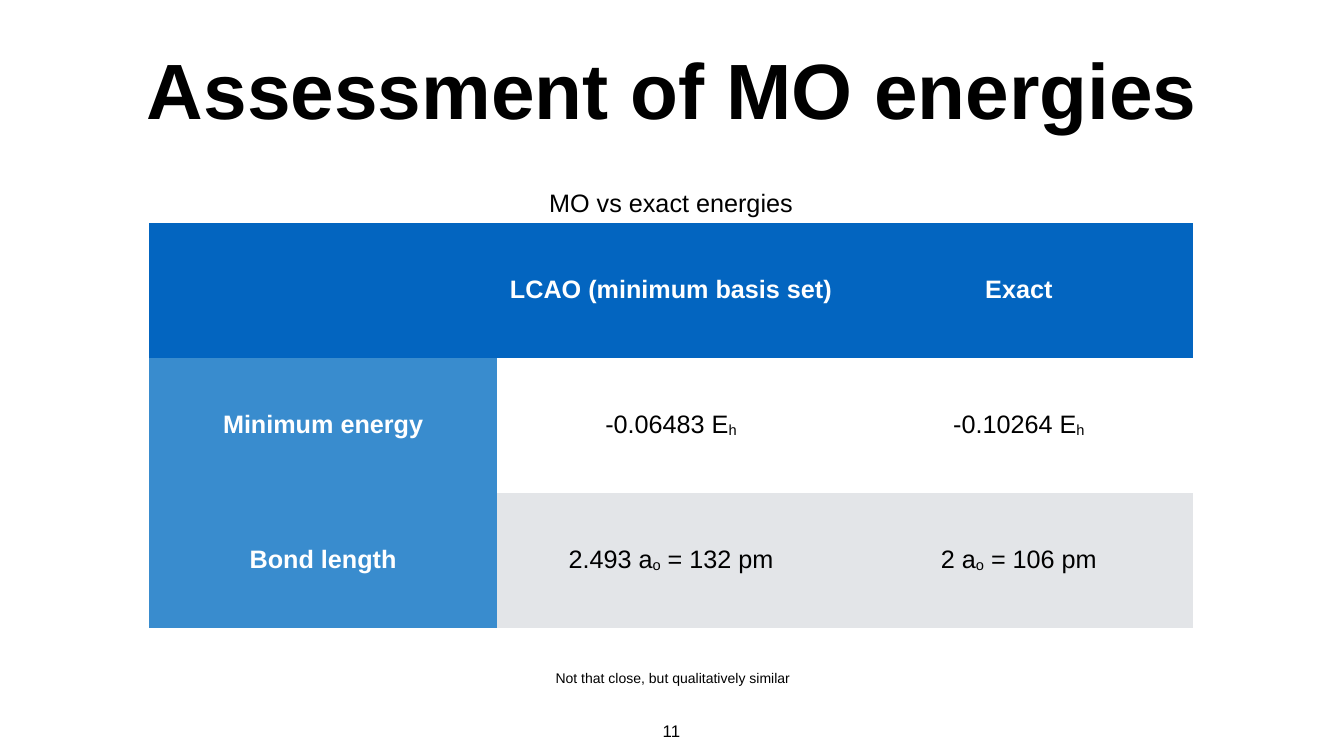
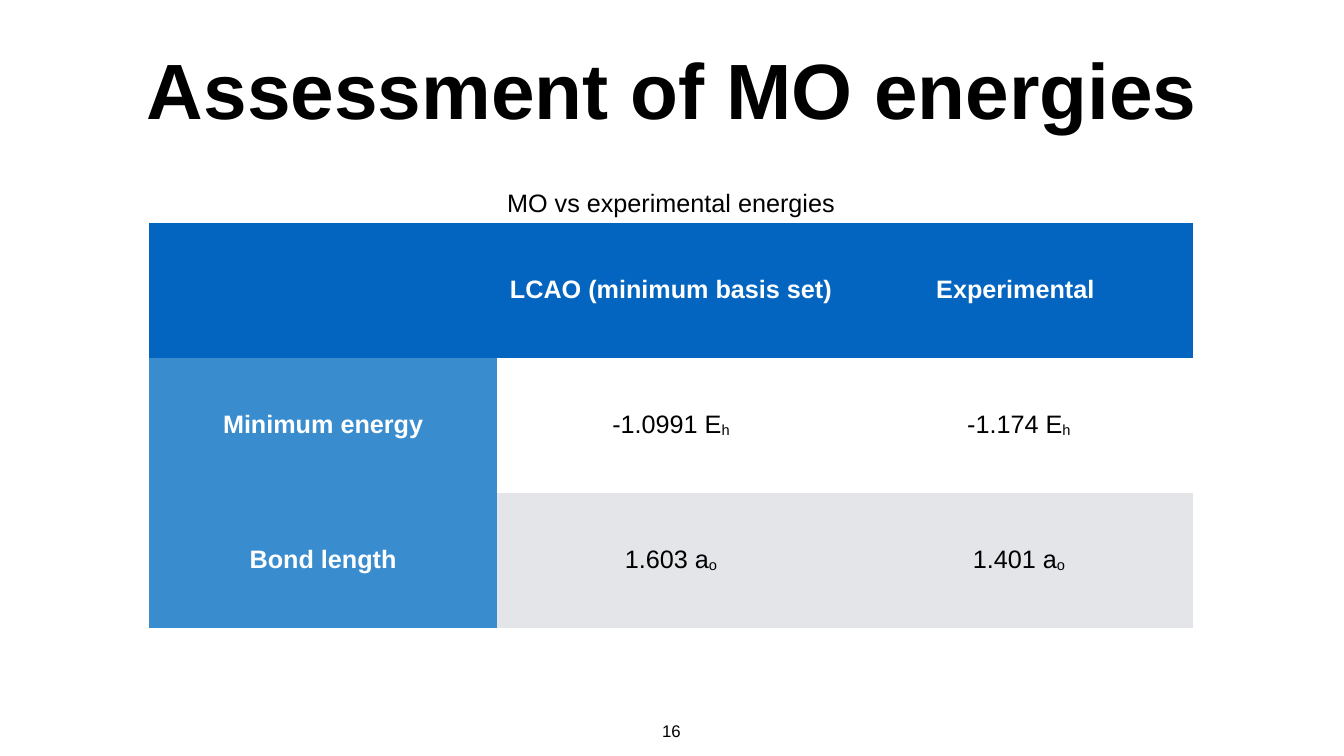
import pptx
import pptx.dml.color
import pptx.enum.text
import pptx.util

Cm = pptx.util.Cm
ALIGN = pptx.enum.text.PP_ALIGN
ANCHOR = pptx.enum.text.MSO_ANCHOR
COLORS = {
    "text": "000000",
    "light": "FFFFFF",
    "header": "0365C0",
    "label": "398CCE",
    "plain": "FFFFFF",
    "band": "E3E5E8",
}
FONT = "Arial"
NO_STYLE = "{2D5ABB26-0587-4C30-8999-92F81FD0307C}"
TABLE_LEFT, TABLE_TOP = 7.52, 9.3
COLUMN_WIDTH, CAPTION_HEIGHT, ROW_HEIGHT = 17.53, 1.85, 6.8

SLIDES = [
    {
        "number": "11",
        "caption": "MO vs exact energies",
        "rows": [
            ["", "LCAO (minimum basis set)", "Exact"],
            ["Minimum energy", "-0.06483 E~h~", "-0.10264 E~h~"],
            ["Bond length", "2.493 a~o~ = 132 pm", "2 a~o~ = 106 pm"],
        ],
        "note": "Not that close, but qualitatively similar",
    },
    {
        "number": "16",
        "caption": "MO vs experimental energies",
        "rows": [
            ["", "LCAO (minimum basis set)", "Experimental "],
            ["Minimum energy", "-1.0991 E~h~", "-1.174 E~h~"],
            ["Bond length", "1.603 a~o~", "1.401 a~o~"],
        ],
        "note": None,
    },
]


def write(frame, text, size=36, color="text", bold=False):
    """Fill a frame with one centred paragraph; ~x~ sets x as a subscript."""
    para = frame.paragraphs[0]
    para.alignment = ALIGN.CENTER
    for index, part in enumerate(text.split("~")):
        if not part:
            continue
        span = para.add_run()
        span.text = part
        span.font.name = FONT
        span.font.size = pptx.util.Pt(size)
        span.font.bold = bold
        span.font.color.rgb = pptx.dml.color.RGBColor.from_string(COLORS[color])
        if index % 2:
            span.font._element.set("baseline", "-5999")


def add_text(page, text, left, top, width, height, anchor=ANCHOR.MIDDLE, wrap=True, **style):
    box = page.shapes.add_textbox(Cm(left), Cm(top), Cm(width), Cm(height))
    frame = box.text_frame
    frame.word_wrap = wrap
    frame.vertical_anchor = anchor
    frame.margin_left = frame.margin_right = Cm(0.2)
    frame.margin_top = frame.margin_bottom = Cm(0.2)
    write(frame, text, **style)


deck = pptx.Presentation()
deck.slide_width, deck.slide_height = Cm(67.73), Cm(38.1)

for content in SLIDES:
    page = deck.slides.add_slide(deck.slide_layouts[6])
    add_text(page, "Assessment of MO energies", 1.75, 0.89, 64.21, 7.06, size=112, bold=True)
    add_text(page, content["number"], 33.15, 36.14, 1.37, 1.42,
             anchor=ANCHOR.TOP, wrap=False, size=24)

    rows = content["rows"]
    columns = len(rows[0])
    table = page.shapes.add_table(
        len(rows) + 1, columns, Cm(TABLE_LEFT), Cm(TABLE_TOP),
        Cm(columns * COLUMN_WIDTH), Cm(CAPTION_HEIGHT + len(rows) * ROW_HEIGHT),
    ).table
    table.first_row = table.horz_banding = False
    table._tbl.tblPr[0].text = NO_STYLE
    for column in table.columns:
        column.width = Cm(COLUMN_WIDTH)
    for index, row in enumerate(table.rows):
        row.height = Cm(ROW_HEIGHT if index else CAPTION_HEIGHT)

    caption = table.cell(0, 0)
    caption.merge(table.cell(0, columns - 1))
    caption.fill.background()
    caption.vertical_anchor = ANCHOR.MIDDLE
    caption.margin_left = caption.margin_right = Cm(0.2)
    caption.margin_top = caption.margin_bottom = Cm(0.2)
    write(caption.text_frame, content["caption"])

    for row_index, row in enumerate(rows):
        for column_index, text in enumerate(row):
            heading = row_index == 0 or column_index == 0
            if row_index == 0:
                fill = "header"
            elif column_index == 0:
                fill = "label"
            else:
                fill = "plain" if row_index % 2 else "band"
            cell = table.cell(row_index + 1, column_index)
            cell.fill.solid()
            cell.fill.fore_color.rgb = pptx.dml.color.RGBColor.from_string(COLORS[fill])
            cell.vertical_anchor = ANCHOR.MIDDLE
            cell.margin_left = cell.margin_right = Cm(0.15)
            cell.margin_top = cell.margin_bottom = Cm(0.15)
            write(cell.text_frame, text, color="light" if heading else "text", bold=heading)

    if content["note"]:
        add_text(page, content["note"], 18.29, 33.53, 31.24, 1.24, size=20)

deck.save("out.pptx")
